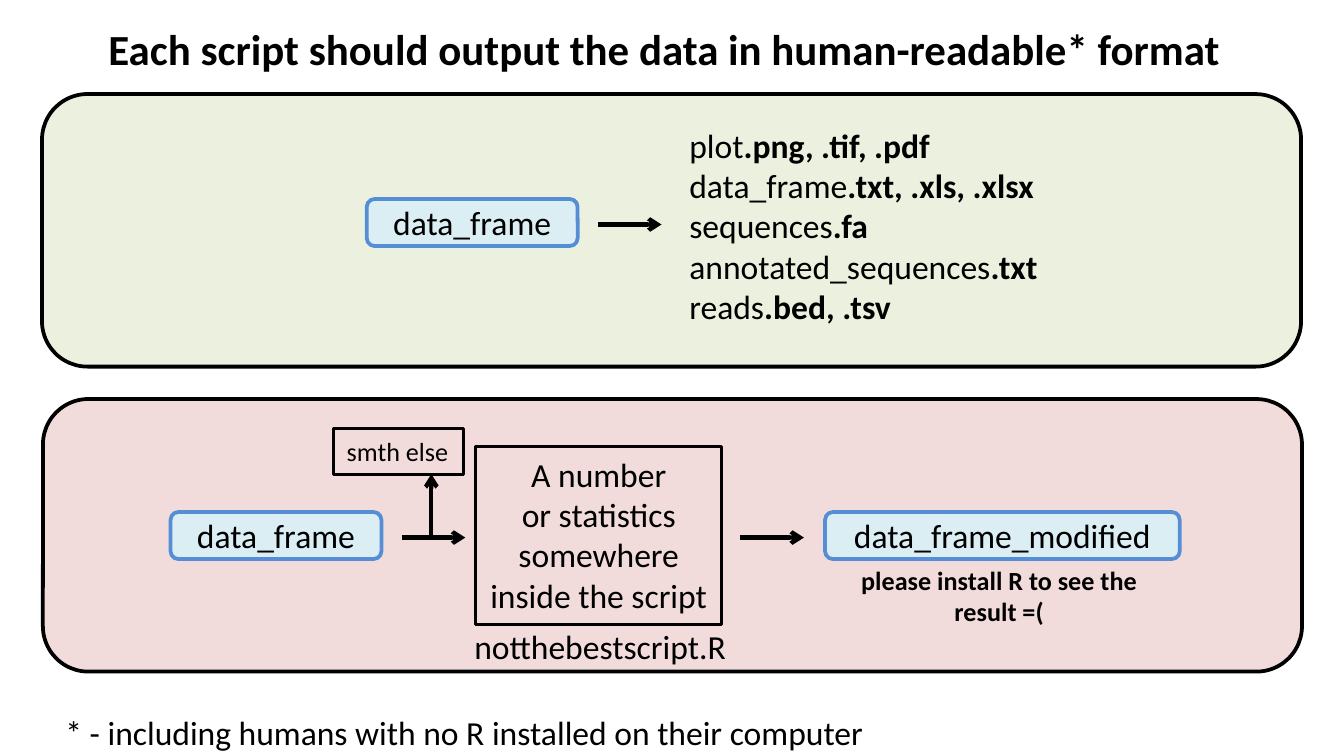
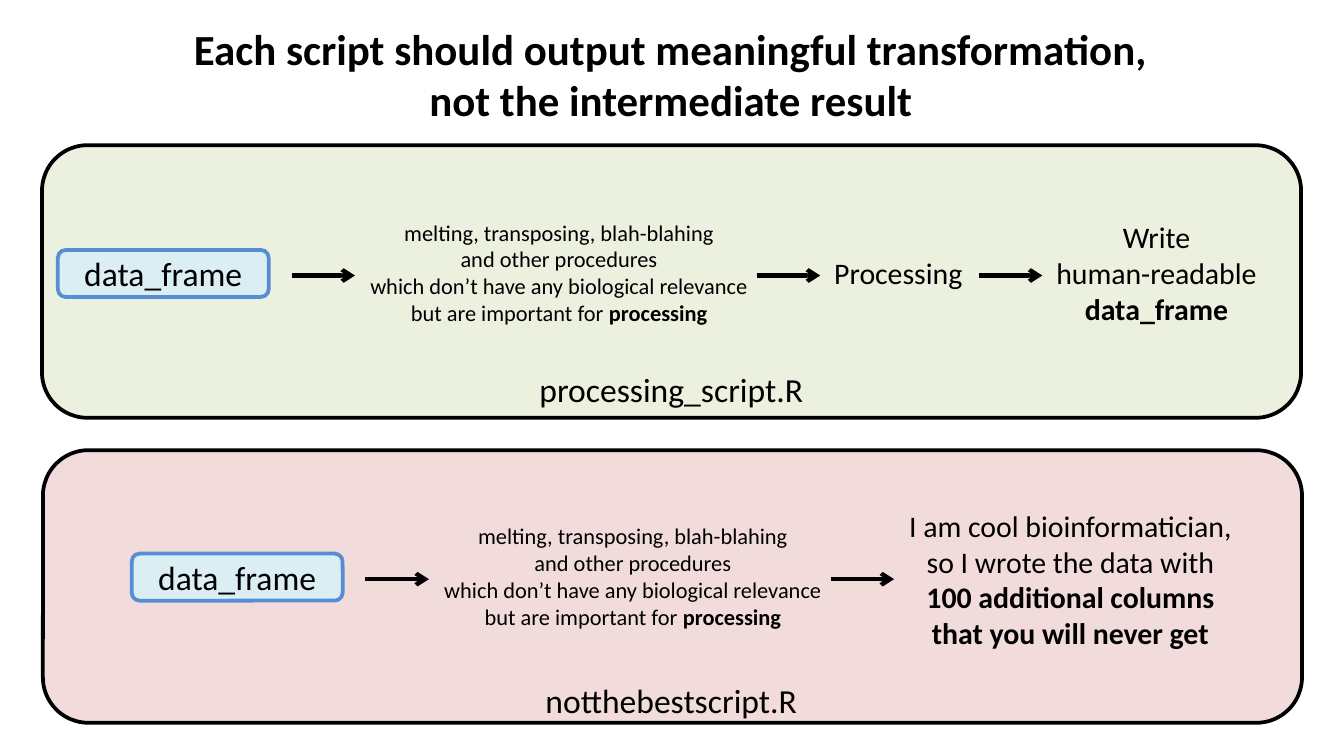
from dataclasses import dataclass

from lxml import etree
from pptx import Presentation
from pptx.dml.color import RGBColor
from pptx.enum.shapes import MSO_CONNECTOR, MSO_SHAPE
from pptx.enum.text import MSO_ANCHOR, MSO_AUTO_SIZE, PP_ALIGN
from pptx.oxml.ns import qn
from pptx.util import Pt

LEFT, CENTER = PP_ALIGN.LEFT, PP_ALIGN.CENTER
MIDDLE, TOP = MSO_ANCHOR.MIDDLE, MSO_ANCHOR.TOP
GROW, FIXED = MSO_AUTO_SIZE.SHAPE_TO_FIT_TEXT, MSO_AUTO_SIZE.NONE
ROUNDED, STRAIGHT = MSO_SHAPE.ROUNDED_RECTANGLE, MSO_CONNECTOR.STRAIGHT
RECTANGLE = MSO_SHAPE.RECTANGLE

BLACK = RGBColor(0x00, 0x00, 0x00)
GOOD = RGBColor(0xEB, 0xF1, 0xDE)
BAD = RGBColor(0xF2, 0xDC, 0xDB)
FRAME_FILL = RGBColor(0xDB, 0xEE, 0xF4)
FRAME_LINE = RGBColor(0x55, 0x8E, 0xD5)
FONT = "Calibri"

PANEL_WIDTH, PANEL_HEIGHT, PANEL_STEP = 674.5, 146, 163.4
PANEL_LEFTS = (22.5, 23)
FRAME_HEIGHT = 25.2
ARROW_LENGTH, ARROW_DROP = 34, 1.1
LINE_FACTOR, INSETS = 1.22, 7.2
BOLD_MARK = "|"


@dataclass
class Frame:
    left: float
    text: str = "data_frame"
    width: float = 113


@dataclass
class Arrow:
    left: float


@dataclass
class Branch:
    left: float
    rise: float


@dataclass
class Words:
    left: float
    width: float
    size: float
    lines: tuple
    align: int = CENTER
    drop: float = 0
    outlined: bool = False
    wrap: bool = False


MELTING = (
    "melting, transposing, blah-blahing",
    "and other procedures",
    "which don’t have any biological relevance",
    "but are important for |processing",
)
FORMATS = (
    "plot|.png, .tif, .pdf",
    "data_frame|.txt, .xls, .xlsx",
    "sequences|.fa",
    "annotated_sequences|.txt",
    "reads|.bed, .tsv",
)
STATISTICS = ("A number", "or statistics", "somewhere", "inside the script")
COOL = (
    "I am cool bioinformatician,",
    "so I wrote the data with",
    "|100 additional columns",
    "|that you will never get",
)

SLIDES = [
    {
        "title": Words(51, 617, 23, ("|Each script should output the data in human-readable* format",), LEFT),
        "footnote": Words(28, 451.5, 18, ("* - including humans with no R installed on their computer",), LEFT),
        "top": 50.4,
        "panels": [
            (GOOD, 68.8, [
                Frame(196.5),
                Arrow(320.4),
                Words(362.2, 202.3, 18, FORMATS, LEFT, drop=2.5),
            ]),
            (BAD, 73.1, [
                Frame(91.4),
                Arrow(215.3),
                Branch(231.1, 34),
                Words(178.6, 69.8, 14, ("smth else",), LEFT, drop=-45, outlined=True),
                Words(254.9, 131.8, 18, STATISTICS, outlined=True),
                Arrow(396.7),
                Frame(442, "data_frame_modified", 190),
                Words(453.6, 163.4, 14, ("|please install R to see the", "|result =("), drop=32.4),
                Words(247, 186.5, 18, ("notthebestscript.R",), LEFT, drop=59.4, wrap=True),
            ]),
        ],
    },
    {
        "title": Words(94.3, 530.6, 23, (
            "|Each script should output meaningful transformation,",
            "|not the intermediate result",
        )),
        "top": 77.8,
        "panels": [
            (GOOD, 68.7, [
                Frame(31),
                Arrow(156.2),
                Words(190.1, 218.9, 12, MELTING),
                Arrow(405.4),
                Words(439.2, 84.2, 16, ("Processing",)),
                Arrow(524.4),
                Words(558, 123.1, 16, ("Write", "human-readable", "|data_frame")),
                Words(266.4, 186.5, 18, ("processing_script.R",), drop=62.3, wrap=True),
            ]),
            (BAD, 68, [
                Frame(70.6),
                Arrow(195.8),
                Words(229.7, 218.9, 12, MELTING),
                Arrow(445),
                Words(475.9, 195.1, 16, COOL, drop=1.8),
                Words(266.4, 186.5, 18, ("notthebestscript.R",), drop=65.9, wrap=True),
            ]),
        ],
    },
]
TITLE_TOP, FOOTNOTE_TOP = 8.6, 378


def write(text_frame, lines, size, align):
    for index, line in enumerate(lines):
        paragraph = text_frame.paragraphs[0] if index == 0 else text_frame.add_paragraph()
        paragraph.alignment = align
        plain, _, bold = line.partition(BOLD_MARK)
        for text, is_bold in ((plain, False), (bold, True)):
            if text:
                run = paragraph.add_run()
                run.text = text
                run.font.name = FONT
                run.font.size = Pt(size)
                run.font.bold = is_bold
                run.font.color.rgb = BLACK


def add_rounded(slide, left, top, width, height, fill, line):
    shape = slide.shapes.add_shape(ROUNDED, Pt(left), Pt(top), Pt(width), Pt(height))
    shape.shadow.inherit = False
    shape.fill.solid()
    shape.fill.fore_color.rgb = fill
    shape.line.color.rgb = line
    shape.line.width = Pt(2)
    return shape


def words_height(words):
    return len(words.lines) * words.size * LINE_FACTOR + INSETS


def add_words(slide, words, top):
    box = (Pt(words.left), Pt(top), Pt(words.width), Pt(words_height(words)))
    if words.outlined:
        shape = slide.shapes.add_shape(RECTANGLE, *box)
        shape.shadow.inherit = False
        shape.fill.background()
        shape.line.color.rgb = BLACK
        shape.line.width = Pt(1.5)
    else:
        shape = slide.shapes.add_textbox(*box)
    text_frame = shape.text_frame
    text_frame.word_wrap = words.wrap
    text_frame.auto_size = GROW
    text_frame.vertical_anchor = TOP
    write(text_frame, words.lines, words.size, words.align)


def add_frame(slide, frame, middle):
    shape = add_rounded(slide, frame.left, middle - FRAME_HEIGHT / 2, frame.width,
                        FRAME_HEIGHT, FRAME_FILL, FRAME_LINE)
    shape.text_frame.auto_size = FIXED
    shape.text_frame.vertical_anchor = MIDDLE
    write(shape.text_frame, (frame.text,), 18, CENTER)


def add_arrow(slide, x1, y1, x2, y2):
    arrow = slide.shapes.add_connector(STRAIGHT, Pt(x1), Pt(y1), Pt(x2), Pt(y2))
    arrow.line.color.rgb = BLACK
    arrow.line.width = Pt(2.25)
    etree.SubElement(arrow.line._get_or_add_ln(), qn("a:tailEnd"), type="arrow")
    etree.SubElement(arrow._element.spPr, qn("a:effectLst"))


def add_piece(slide, piece, middle):
    arrow_y = middle + ARROW_DROP
    if isinstance(piece, Frame):
        add_frame(slide, piece, middle)
    elif isinstance(piece, Arrow):
        add_arrow(slide, piece.left, arrow_y, piece.left + ARROW_LENGTH, arrow_y)
    elif isinstance(piece, Branch):
        add_arrow(slide, piece.left, arrow_y, piece.left, arrow_y - piece.rise)
    else:
        add_words(slide, piece, middle + piece.drop - words_height(piece) / 2)


def build_slide(deck, content):
    slide = deck.slides.add_slide(deck.slide_layouts[6])
    add_words(slide, content["title"], TITLE_TOP)
    for index, (fill, row, pieces) in enumerate(content["panels"]):
        top = content["top"] + index * PANEL_STEP
        add_rounded(slide, PANEL_LEFTS[index], top, PANEL_WIDTH, PANEL_HEIGHT, fill, BLACK)
        for piece in pieces:
            add_piece(slide, piece, top + row)
    if "footnote" in content:
        add_words(slide, content["footnote"], FOOTNOTE_TOP)


def main():
    deck = Presentation()
    deck.slide_width, deck.slide_height = Pt(720), Pt(405)
    for content in SLIDES:
        build_slide(deck, content)
    deck.save("out.pptx")


if __name__ == "__main__":
    main()
